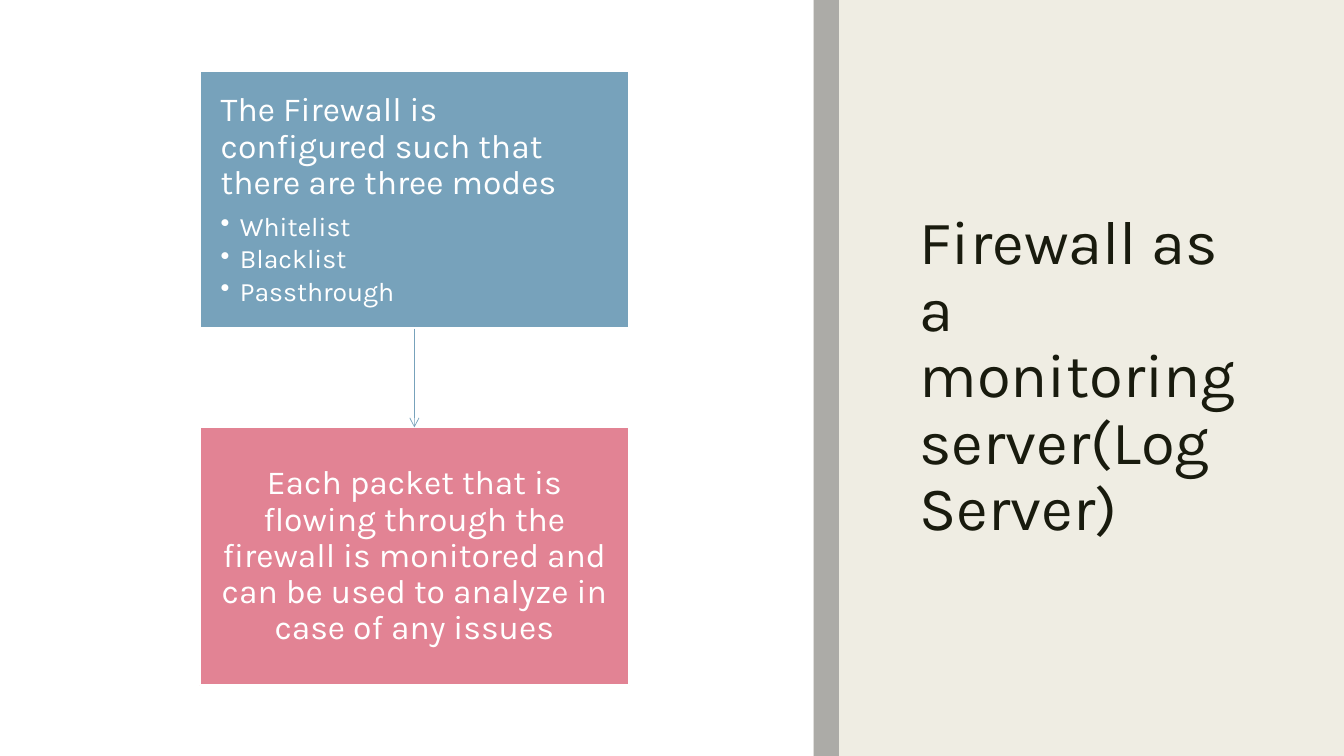
"""Build the firewall monitoring slide."""
from dataclasses import dataclass

from lxml import etree
from pptx import Presentation
from pptx.dml.color import RGBColor
from pptx.enum import shapes, text
from pptx.oxml import ns
from pptx.util import Inches, Pt


@dataclass(frozen=True)
class Theme:
    """Colours, font and type sizes of the slide."""
    font: str = "Karla"
    ink: str = "191B0E"
    sand: str = "EFEDE3"
    white: str = "FFFFFF"
    gray: str = "808080"
    blue: str = "77A2BB"
    pink: str = "E28394"
    head: int = 44
    body: int = 24
    item: int = 19


THEME = Theme()
ALIGN = text.PP_ALIGN


def add_tag(node, name, **attrs):
    """Append a drawing element with the given attributes."""
    return etree.SubElement(node, ns.qn(name), attrs)


def style(para, size, color, align=ALIGN.LEFT, after=0):
    """Set spacing, alignment and run format of a paragraph."""
    para.alignment = align
    para.line_spacing = 0.9
    para.space_after = Pt(after)
    for run in para.runs:
        run.font.name = THEME.font
        run.font.size = Pt(size)
        run.font.color.rgb = RGBColor.from_string(color)


def add_rect(slide, left, top, width, height, fill, alpha=None):
    """Add a plain filled rectangle, with an optional opacity in percent."""
    rect = slide.shapes.add_shape(
        shapes.MSO_SHAPE.RECTANGLE,
        Inches(left), Inches(top), Inches(width), Inches(height))
    rect.shadow.inherit = False
    rect.fill.solid()
    rect.fill.fore_color.rgb = RGBColor.from_string(fill)
    rect.line.fill.background()
    if alpha:
        color = rect.element.spPr.find(".//" + ns.qn("a:srgbClr"))
        add_tag(color, "a:alpha", val=str(alpha * 1000))
    return rect


def add_box(slide, top, fill, words, anchor, align, items=()):
    """Add a coloured box with a lead text and optional bullets."""
    box = add_rect(slide, 1.98, top, 4.26, 2.56, fill)
    box.line.color.rgb = RGBColor.from_string(THEME.white)
    box.line.width = Pt(1.5)
    frame = box.text_frame
    frame.word_wrap = True
    frame.vertical_anchor = anchor
    frame.margin_left = frame.margin_right = Inches(0.21)
    frame.margin_top = frame.margin_bottom = Inches(0.22)
    frame.text = words
    style(frame.paragraphs[0], THEME.body, THEME.white, align,
          THEME.body * 0.35)
    for item in items:
        add_item(frame, item)
    return box


def add_item(frame, words):
    """Add one bulleted paragraph to a text frame."""
    para = frame.add_paragraph()
    para.text = words
    para.level = 1
    style(para, THEME.item, THEME.white, after=THEME.item * 0.15)
    props = para._p.get_or_add_pPr()
    indent = Inches(0.19)
    props.set("marL", str(indent))
    props.set("indent", str(-indent))
    add_tag(props, "a:buChar", char="•")


def add_arrow(slide, start, end):
    """Join two boxes with a downward arrow."""
    arrow = slide.shapes.add_connector(
        shapes.MSO_CONNECTOR.STRAIGHT, 0, 0, 0, 0)
    arrow.begin_connect(start, 2)
    arrow.end_connect(end, 0)
    arrow.line.color.rgb = RGBColor.from_string(THEME.blue)
    arrow.line.width = Pt(0.5)
    add_tag(arrow.line._get_or_add_ln(), "a:tailEnd", type="arrow")
    add_tag(arrow.element.spPr, "a:effectLst")


def set_title(slide, words):
    """Place and format the title in front of the panels."""
    title = slide.shapes.title
    title.left, title.top = Inches(9.02), Inches(0.7)
    title.width, title.height = Inches(3.61), Inches(6.1)
    frame = title.text_frame
    frame.text = words
    frame.word_wrap = True
    frame.auto_size = text.MSO_AUTO_SIZE.NONE
    frame.vertical_anchor = text.MSO_ANCHOR.MIDDLE
    style(frame.paragraphs[0], THEME.head, THEME.ink)
    title.element.getparent().append(title.element)


def main():
    """Create the slide and save it."""
    deck = Presentation()
    deck.slide_width, deck.slide_height = Inches(13.33), Inches(7.5)
    slide = deck.slides.add_slide(deck.slide_layouts[5])
    add_rect(slide, 0, 0, 13.33, 7.5, THEME.sand)
    set_title(slide, "Firewall as a monitoring server(Log Server)")
    add_rect(slide, 0, 0, 8.07, 7.5, THEME.white)
    add_rect(slide, 8.07, 0, 0.25, 7.5, THEME.gray, 60)
    modes = add_box(
        slide, 0.7, THEME.blue,
        "The Firewall is configured such that there are three modes",
        text.MSO_ANCHOR.TOP, ALIGN.LEFT,
        ("Whitelist", "Blacklist", "Passthrough"))
    packet = add_box(
        slide, 4.24, THEME.pink,
        "Each packet that is flowing through the firewall is monitored "
        "and can be used to analyze in case of any issues",
        text.MSO_ANCHOR.MIDDLE, ALIGN.CENTER)
    add_arrow(slide, modes, packet)
    deck.save("out.pptx")


if __name__ == "__main__":
    main()
